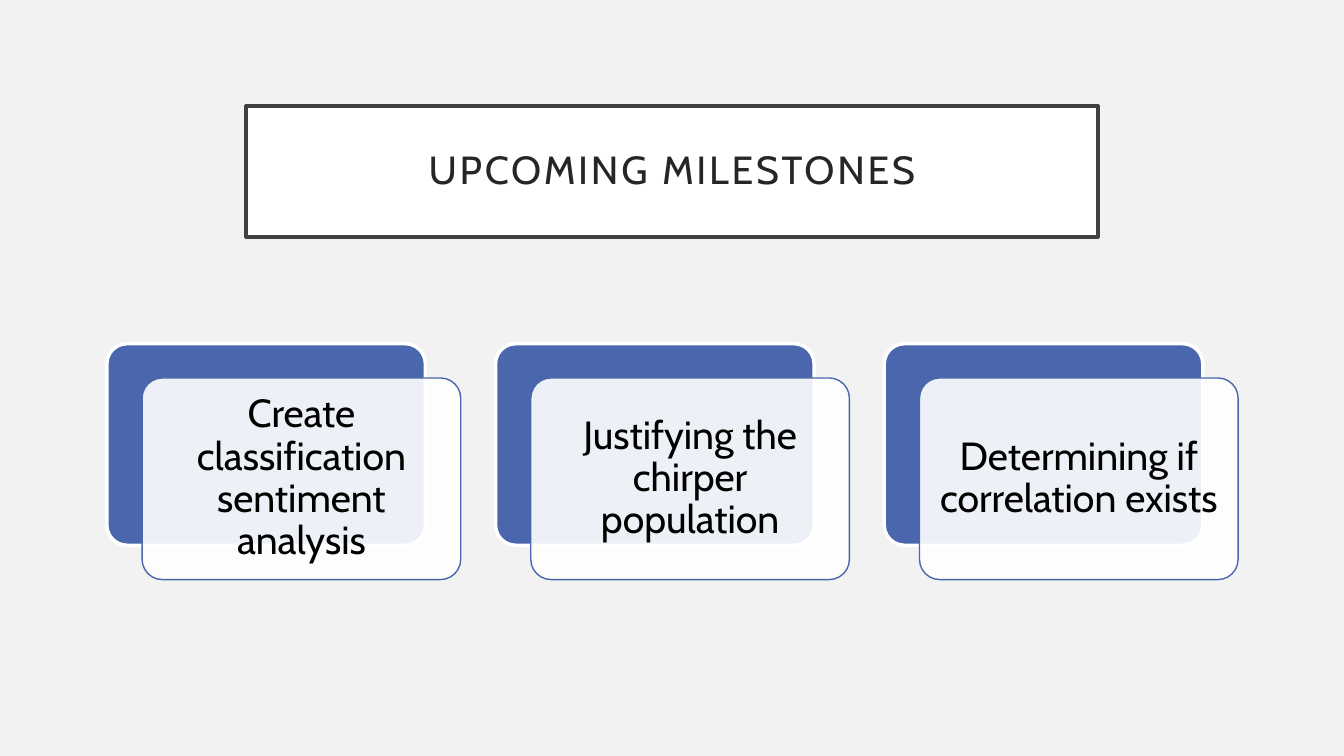
from lxml.etree import SubElement
from pptx import Presentation
from pptx.dml.color import RGBColor
from pptx.enum.shapes import MSO_SHAPE as Shape
from pptx.enum.text import MSO_ANCHOR as Anchor, PP_ALIGN as Align
from pptx.oxml.ns import qn
from pptx.util import Inches, Pt

COLORS = {
    "background": "F2F2F2",
    "white": "FFFFFF",
    "frame": "404040",
    "title": "262626",
    "blue": "4A66AC",
    "black": "000000",
}
MILESTONES = [
    "Create classification sentiment analysis",
    "Justifying the chirper population",
    "Determining if correlation exists",
]
CARD_LEFT, CARD_TOP = 1.06, 3.41
CARD_WIDTH, CARD_HEIGHT = 3.16, 2
CARD_PITCH = 3.855
FRONT_SHIFT_X, FRONT_SHIFT_Y = 0.35, 0.34


def rgb(name):
    return RGBColor.from_string(COLORS[name])


def add_panel(slide, kind, box, fill, line, line_width):
    panel = slide.shapes.add_shape(kind, *map(Inches, box))
    panel.shadow.inherit = False
    panel.fill.solid()
    panel.fill.fore_color.rgb = rgb(fill)
    panel.line.color.rgb = rgb(line)
    panel.line.width = Pt(line_width)
    if kind == Shape.ROUNDED_RECTANGLE:
        panel.adjustments[0] = 0.1
    return panel


def write_text(panel, text, color, inset):
    frame = panel.text_frame
    frame.word_wrap = True
    frame.vertical_anchor = Anchor.MIDDLE
    frame.margin_left = frame.margin_right = Inches(inset)
    frame.margin_top = frame.margin_bottom = Inches(inset)
    paragraph = frame.paragraphs[0]
    paragraph.text = text
    paragraph.alignment = Align.CENTER
    paragraph.line_spacing = 0.9
    paragraph.font.name = "Cabin"
    paragraph.font.size = Pt(28)
    paragraph.font.color.rgb = rgb(color)
    return paragraph


def set_opacity(panel, percent):
    color = panel.fill._xPr.find(qn("a:solidFill"))[0]
    SubElement(color, qn("a:alpha"), val=str(percent * 1000))


def add_title(slide, text):
    banner = add_panel(slide, Shape.RECTANGLE, (2.44, 1.05, 8.45, 1.3),
                       "white", "frame", 2.5)
    heading = write_text(banner, text, "title", 0.2)
    heading.runs[0].font._element.set("spc", "200")


def add_milestone(slide, left, text):
    add_panel(slide, Shape.ROUNDED_RECTANGLE,
              (left, CARD_TOP, CARD_WIDTH, CARD_HEIGHT), "blue", "white", 2.5)
    front = add_panel(slide, Shape.ROUNDED_RECTANGLE,
                      (left + FRONT_SHIFT_X, CARD_TOP + FRONT_SHIFT_Y,
                       CARD_WIDTH, CARD_HEIGHT), "white", "blue", 1)
    set_opacity(front, 90)
    write_text(front, text, "black", 0.12)


def main():
    deck = Presentation()
    deck.slide_width, deck.slide_height = Inches(13.33), Inches(7.5)
    slide = deck.slides.add_slide(deck.slide_layouts[6])
    slide.background.fill.solid()
    slide.background.fill.fore_color.rgb = rgb("background")
    add_title(slide, "UPCOMING MILESTONES")
    for index, milestone in enumerate(MILESTONES):
        add_milestone(slide, CARD_LEFT + index * CARD_PITCH, milestone)
    deck.save("out.pptx")


if __name__ == "__main__":
    main()
